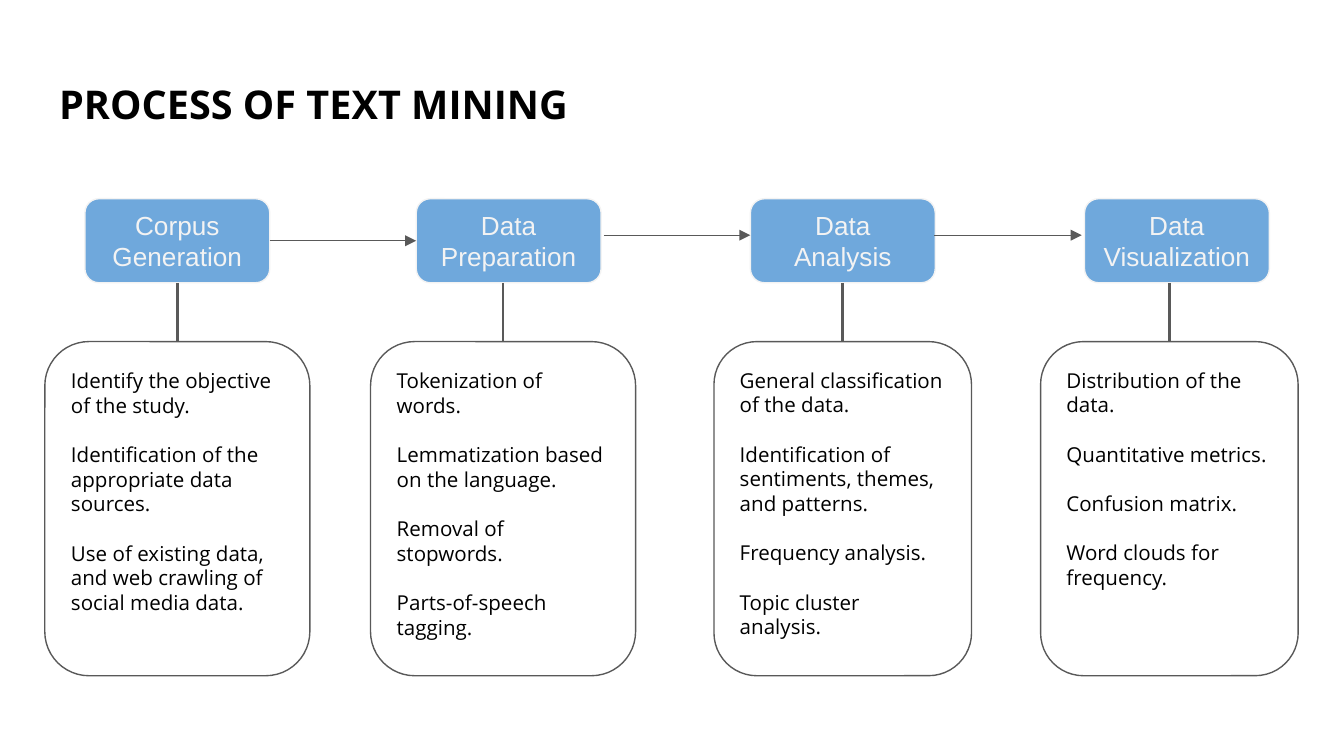
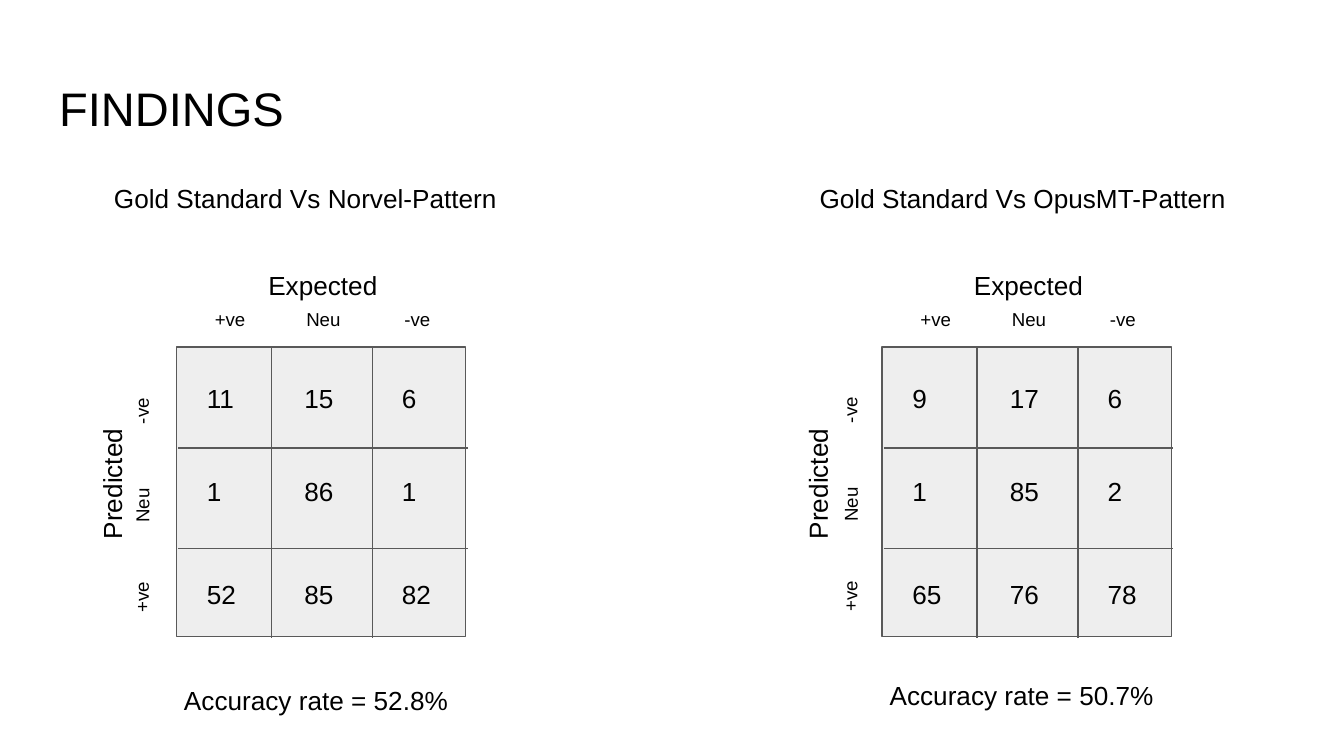
from lxml import etree
from pptx import Presentation
from pptx.dml.color import RGBColor
from pptx.enum import shapes, text
from pptx.oxml import ns
from pptx.util import Pt

INK, GREY, BLUE, PALE, FILL, WHITE = (
    "000000", "595959", "6FA8DC", "F3F3F3", "EEEEEE", "FFFFFF")
SANS, OPEN = "Arial", "Open Sans"
LEFT, MID = text.PP_ALIGN.LEFT, text.PP_ALIGN.CENTER
TOP, CORE = text.MSO_ANCHOR.TOP, text.MSO_ANCHOR.MIDDLE
NONE, GROW = text.MSO_AUTO_SIZE.NONE, text.MSO_AUTO_SIZE.SHAPE_TO_FIT_TEXT
RECT, ROUND = shapes.MSO_SHAPE.RECTANGLE, shapes.MSO_SHAPE.ROUNDED_RECTANGLE


def color(code):
    return RGBColor.from_string(code)


class Deck:
    """Holds the style and the current slide."""

    def __init__(self):
        self.prs = Presentation()
        self.prs.slide_width, self.prs.slide_height = Pt(720), Pt(405)

    def page(self, name, font, size, bold=False):
        self.slide = self.prs.slides.add_slide(self.prs.slide_layouts[5])
        self.root, self.boxes = self.slide.shapes, []
        head = self.slide.shapes.title
        head.left, head.top, head.width, head.height = map(
            Pt, (24.5, 35.5, 671, 45))
        self.words(head, [name], size, font=font, bold=bold)

    def group(self):
        self.root = self.slide.shapes.add_group_shape().shapes

    def ungroup(self):
        self.root = self.slide.shapes

    def words(self, shape, lines, size, tint=INK, font=SANS, bold=False,
              align=LEFT, anchor=TOP, fit=NONE, gap=0):
        frame = shape.text_frame
        look = {"word_wrap": True, "auto_size": fit, "vertical_anchor": anchor}
        for side in ("left", "right", "top", "bottom"):
            look["margin_" + side] = Pt(7.2)
        for key, val in look.items():
            setattr(frame, key, val)
        for i, line in enumerate(lines):
            para = frame.add_paragraph() if i else frame.paragraphs[0]
            para.alignment = align
            para.space_before = Pt(gap if i else 0)
            run = para.add_run()
            run.text = line
            for key, val in {"name": font, "size": Pt(size),
                             "bold": bold}.items():
                setattr(run.font, key, val)
            run.font.color.rgb = color(tint)

    def box(self, kind, x, y, w, h, fill, edge):
        shape = self.root.add_shape(kind, *map(Pt, (x, y, w, h)))
        shape.shadow.inherit = False
        shape.fill.solid()
        shape.fill.fore_color.rgb = color(fill)
        shape.line.color.rgb = color(edge)
        shape.line.width = Pt(0.75)
        self.boxes.append(shape)
        return shape

    def label(self, line, x, y, w, h=31.5, size=14, align=LEFT, turn=0):
        shape = self.root.add_textbox(*map(Pt, (x, y, w, h)))
        shape.rotation = turn
        self.words(shape, [line], size, align=align, fit=GROW)

    def line(self, x1, y1, x2, y2, width=0.75, arrow=False):
        link = self.root.add_connector(
            shapes.MSO_CONNECTOR.STRAIGHT, *map(Pt, (x1, y1, x2, y2)))
        link.line.color.rgb = color(GREY)
        link.line.width = Pt(width)
        props = link._element.spPr
        if arrow:
            etree.SubElement(props.get_or_add_ln(), ns.qn("a:tailEnd"),
                             type="triangle")
        etree.SubElement(props, ns.qn("a:effectLst"))
        # Join each end that meets the middle of a side
        for box in self.boxes:
            l, t, w, h = box.left, box.top, box.width, box.height
            sites = ((l + w // 2, t), (l, t + h // 2),
                     (l + w // 2, t + h), (l + w, t + h // 2))
            for i, site in enumerate(sites):
                if site == (Pt(x1), Pt(y1)):
                    link.begin_connect(box, i)
                if site == (Pt(x2), Pt(y2)):
                    link.end_connect(box, i)


# Step: name, left; card: left, width, points
STEPS = [
    ("Corpus Generation", 45.5, 24, 142, [
        "Identify the objective of the study.",
        "Identification of the appropriate data sources.",
        "Use of existing data, and web crawling of social media data."]),
    ("Data Preparation", 223, 198.5, 142, [
        "Tokenization of words.", "Lemmatization based on the language.",
        "Removal of stopwords.", "Parts-of-speech tagging."]),
    ("Data Analysis", 402, 382.5, 138, [
        "General classification of the data.",
        "Identification of sentiments, themes, and patterns.",
        "Frequency analysis.", "Topic cluster analysis."]),
    ("Data Visualization", 581, 557.5, 138, [
        "Distribution of the data.", "Quantitative metrics.",
        "Confusion matrix.", "Word clouds for frequency."]),
]
ARROWS = [(144.5, 223, 129), (323.5, 402, 126), (500.5, 579.5, 126)]


def process(deck):
    deck.page("PROCESS OF TEXT MINING", OPEN, 21.2, True)
    # Steps
    for name, x, *_ in STEPS:
        step = deck.box(ROUND, x, 106.5, 99, 45, BLUE, PALE)
        deck.words(step, [name], 14, PALE, align=MID, anchor=CORE)
    # Cards
    for *_, x, w, points in STEPS:
        card = deck.box(ROUND, x, 183, w, 179, WHITE, GREY)
        deck.words(card, points, 11, font=OPEN, gap=13.2)
    # Arrows and stems
    for x1, x2, y in ARROWS:
        deck.line(x1, y, x2, y, arrow=True)
    for _, _, x, w, _ in STEPS:
        deck.line(x + w / 2, 151.5, x + w / 2, 183, 1.5)


# Left, title, title width, counts, shift of row names, rate, rate top
PANELS = [
    (0, "Gold Standard Vs Norvel-Pattern", 235,
     [(11, 15, 6), (1, 86, 1), (52, 85, 82)], (0, 0), "52.8%", 359.5),
    (378, "Gold Standard Vs OpusMT-Pattern", 246,
     [(9, 17, 6), (1, 85, 2), (65, 76, 78)], (1.5, -0.5), "50.7%", 356.5),
]
# Class: width, left as column, left and top as row
CLASSES = {"+ve": (32, 108, 61, 306), "Neu": (37.5, 157, 58.5, 255),
           "-ve": (32, 209.5, 61, 205)}


def matrix(deck, x, counts):
    deck.group()
    deck.box(RECT, x + 94.5, 186, 155, 155, FILL, GREY)
    for i in range(2):
        deck.line(x + 145.5 + 54 * i, 186, x + 145.5 + 54 * i, 342)
    for i in range(2):
        deck.line(x + 95.5, 240 + 54 * i, x + 250.5, 240 + 54 * i)
    for y, row in zip((197.5, 247.5, 302.5), counts):
        for i, count in enumerate(row):
            deck.label(str(count), x + 103.75 + 52.25 * i, y, 33)
    deck.ungroup()


def findings(deck):
    deck.page("FINDINGS", SANS, 25.2)
    for x, name, wide, counts, (dx, dy), rate, low in PANELS:
        matrix(deck, x, counts)
        # Axis names
        deck.label("Expected", x + 117.5, 137, 111, align=MID)
        deck.label("Predicted", x + 4.5, 243.5, 111, align=MID, turn=270)
        for mark, (w, col, left, top) in CLASSES.items():
            deck.label(mark, x + col, 159, w, 26.5, 10)
            deck.label(mark, x + left + dx, top + dy, w, 26.5, 10, turn=270)
        # Title and rate
        deck.label(name, x + 54, 90.5, wide)
        deck.label("Accuracy rate = " + rate, x + 91.5, low, 161)


def main():
    deck = Deck()
    process(deck)
    findings(deck)
    deck.prs.save("out.pptx")


if __name__ == "__main__":
    main()
